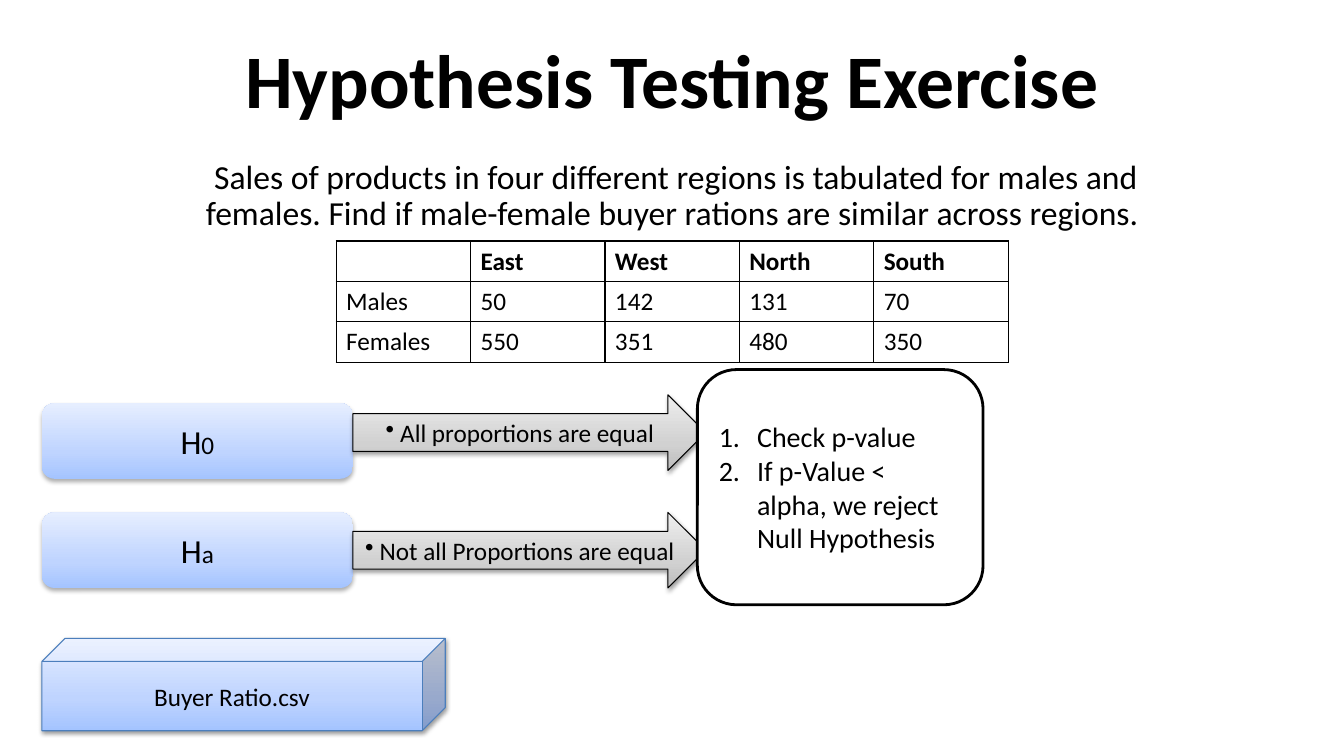
from lxml.etree import SubElement
from pptx import Presentation
from pptx.dml.color import RGBColor
from pptx.enum.shapes import MSO_SHAPE
from pptx.enum.text import MSO_ANCHOR, PP_ALIGN
from pptx.oxml import parse_xml
from pptx.oxml.ns import nsdecls, qn
from pptx.util import Inches, Pt

FONT = "Calibri"
BLACK = "000000"
WHITE = "FFFFFF"
BLUES = ("A4C4FF", "BFD4FF", "E6EEFF")
GRAYS = ("BDBDBD", "D1D1D1", "EEEEEE")
STOPS = (0, 35, 100)
SOFT_SHADOW = (32, 3.5, 2.2)
FIRM_SHADOW = (38, 3.1, 1.6)
CELLS_PER_INCH = 12
SALES = (
    ("", "East", "West", "North", "South"),
    ("Males", "50", "142", "131", "70"),
    ("Females", "550", "351", "480", "350"),
)


def color(value):
    return RGBColor.from_string(value)


def grid(*cells):
    return [Inches(cell / CELLS_PER_INCH) for cell in cells]


def add_run(paragraph, text, size, bold=False):
    run = paragraph.add_run()
    run.text = text
    run.font.name = FONT
    run.font.size = Pt(size)
    run.font.bold = bold
    run.font.color.rgb = color(BLACK)


def add_text_box(slide, box, text, size, anchor, bold=False):
    frame = slide.shapes.add_textbox(*grid(*box)).text_frame
    frame.word_wrap = True
    frame.vertical_anchor = anchor
    paragraph = frame.paragraphs[0]
    paragraph.alignment = PP_ALIGN.CENTER
    paragraph.line_spacing = 0.9
    add_run(paragraph, text, size, bold)


def add_bullet(paragraph, tag, attribute, value, indent=0):
    properties = paragraph._p.get_or_add_pPr()
    properties.set("marL", str(Inches(indent)))
    properties.set("indent", str(-Inches(indent)))
    SubElement(properties, qn(tag)).set(attribute, value)


def add_shape(slide, kind, box, line=None, width=0.75):
    shape = slide.shapes.add_shape(kind, *grid(*box))
    if line:
        shape.line.color.rgb = color(line)
        shape.line.width = Pt(width)
    else:
        shape.line.fill.background()
    shape.shadow.inherit = False
    shape.text_frame.word_wrap = True
    shape.text_frame.vertical_anchor = MSO_ANCHOR.MIDDLE
    return shape


def add_gradient(shape, tones):
    stops = "".join(
        f'<a:gs pos="{stop * 1000}"><a:srgbClr val="{tone}"/></a:gs>'
        for stop, tone in zip(STOPS, tones)
    )
    gradient = parse_xml(
        f'<a:gradFill {nsdecls("a")} rotWithShape="1"><a:gsLst>{stops}</a:gsLst>'
        '<a:lin ang="16200000" scaled="0"/></a:gradFill>'
    )
    shape._element.spPr.find(qn("a:prstGeom")).addnext(gradient)


def add_shadow(shape, opacity, blur, distance):
    shadow = parse_xml(
        f'<a:outerShdw {nsdecls("a")} blurRad="{Pt(blur)}" dist="{Pt(distance)}" '
        f'dir="5400000" rotWithShape="0"><a:srgbClr val="{BLACK}">'
        f'<a:alpha val="{opacity * 1000}"/></a:srgbClr></a:outerShdw>'
    )
    shape._element.spPr.find(qn("a:effectLst")).append(shadow)


def add_block(slide, kind, box, tones, shadow, runs, line=None):
    shape = add_shape(slide, kind, box, line)
    add_gradient(shape, tones)
    add_shadow(shape, *shadow)
    paragraph = shape.text_frame.paragraphs[0]
    paragraph.alignment = PP_ALIGN.CENTER
    for text, size in runs:
        add_run(paragraph, text, size)
    return paragraph


def add_hypothesis(slide, row, arrow_row, symbol, claim):
    add_block(slide, MSO_SHAPE.ROUNDED_RECTANGLE, (5, row, 37, 9), BLUES,
              SOFT_SHADOW, (("H", 24), (symbol, 18)))
    paragraph = add_block(slide, MSO_SHAPE.RIGHT_ARROW, (42, arrow_row, 42, 9), GRAYS,
                          FIRM_SHADOW, ((claim, 18),), BLACK)
    add_bullet(paragraph, "a:buChar", "char", "•")


def add_decision(slide, box, steps):
    shape = add_shape(slide, MSO_SHAPE.ROUNDED_RECTANGLE, box, BLACK, 2)
    shape.fill.solid()
    shape.fill.fore_color.rgb = color(WHITE)
    frame = shape.text_frame
    for number, step in enumerate(steps):
        paragraph = frame.add_paragraph() if number else frame.paragraphs[0]
        paragraph.alignment = PP_ALIGN.LEFT
        add_bullet(paragraph, "a:buAutoNum", "type", "arabicPeriod", 0.38)
        add_run(paragraph, step, 20)


def add_borders(cell):
    properties = cell._tc.get_or_add_tcPr()
    for index, side in enumerate(("lnL", "lnR", "lnT", "lnB")):
        properties.insert(index, parse_xml(
            f'<a:{side} {nsdecls("a")} w="{Pt(1)}"><a:solidFill>'
            f'<a:srgbClr val="{BLACK}"/></a:solidFill></a:{side}>'
        ))


def add_sales_table(slide, box):
    table = slide.shapes.add_table(len(SALES), len(SALES[0]), *grid(*box)).table
    table.first_row = False
    table.horz_banding = False
    for row, values in enumerate(SALES):
        for column, value in enumerate(values):
            cell = table.cell(row, column)
            cell.fill.solid()
            cell.fill.fore_color.rgb = color(WHITE)
            add_borders(cell)
            if value:
                add_run(cell.text_frame.paragraphs[0], value, 18, row == 0)


def main():
    presentation = Presentation()
    presentation.slide_width = Inches(13.33)
    presentation.slide_height = Inches(7.5)
    slide = presentation.slides.add_slide(presentation.slide_layouts[6])
    add_text_box(slide, (20, 3.4, 120, 12), "Hypothesis Testing Exercise", 54,
                 MSO_ANCHOR.BOTTOM, True)
    add_text_box(slide, (20, 18.5, 120, 10),
                 " Sales of products in four different regions is tabulated for males and "
                 "females. Find if male-female buyer rations are similar across regions.",
                 24, MSO_ANCHOR.TOP)
    add_sales_table(slide, (40, 28.7, 80, 14.4))
    add_hypothesis(slide, 48, 47, "0", " All proportions are equal")
    add_hypothesis(slide, 61, 61, "a", " Not all Proportions are equal")
    add_decision(slide, (83, 44, 34, 28),
                 ("Check p-value", "If p-Value < alpha, we reject Null Hypothesis"))
    add_block(slide, MSO_SHAPE.CUBE, (5, 76, 48, 11), BLUES, FIRM_SHADOW,
              (("Buyer Ratio.csv", 18),), "4B7EBC")
    presentation.save("out.pptx")


if __name__ == "__main__":
    main()
